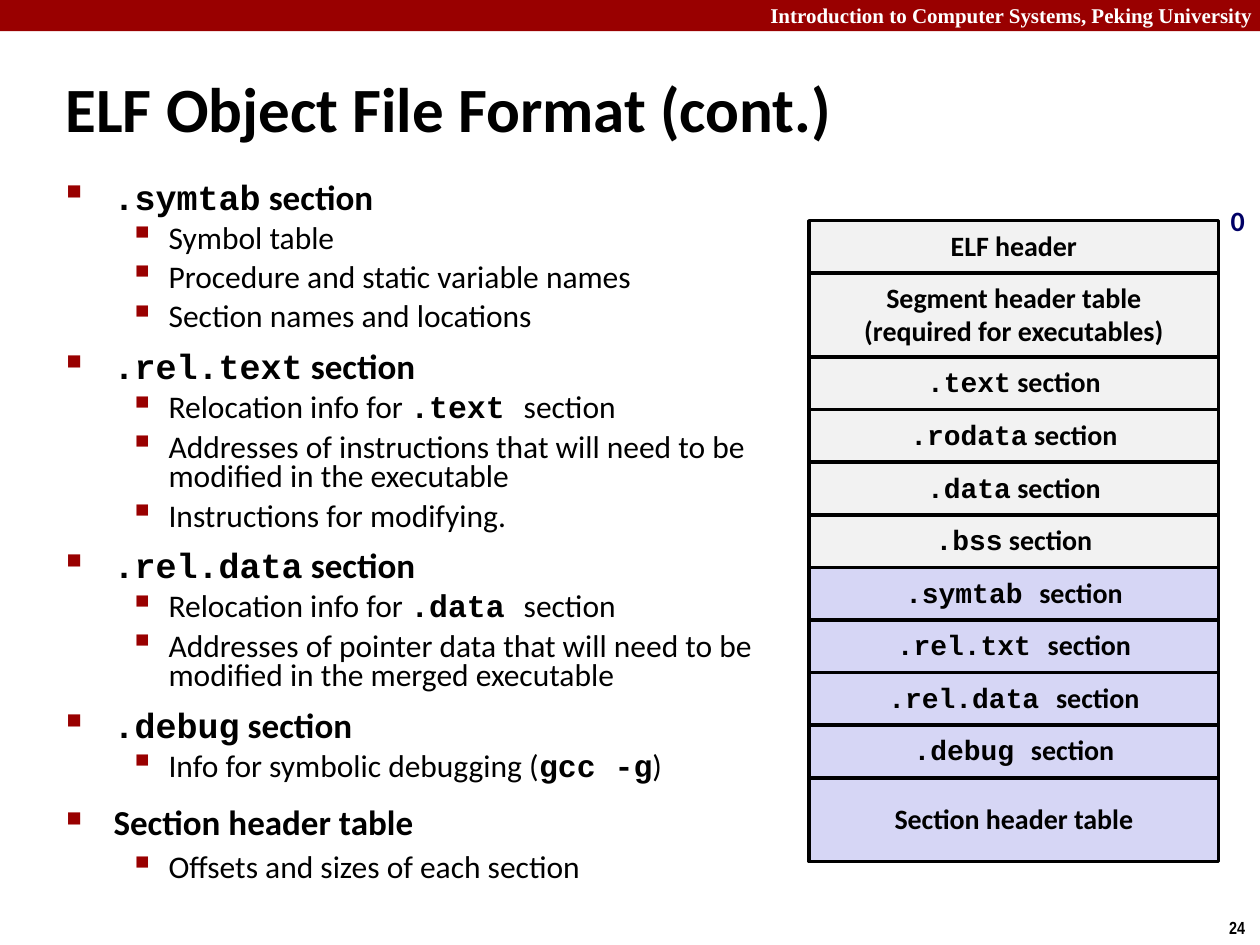
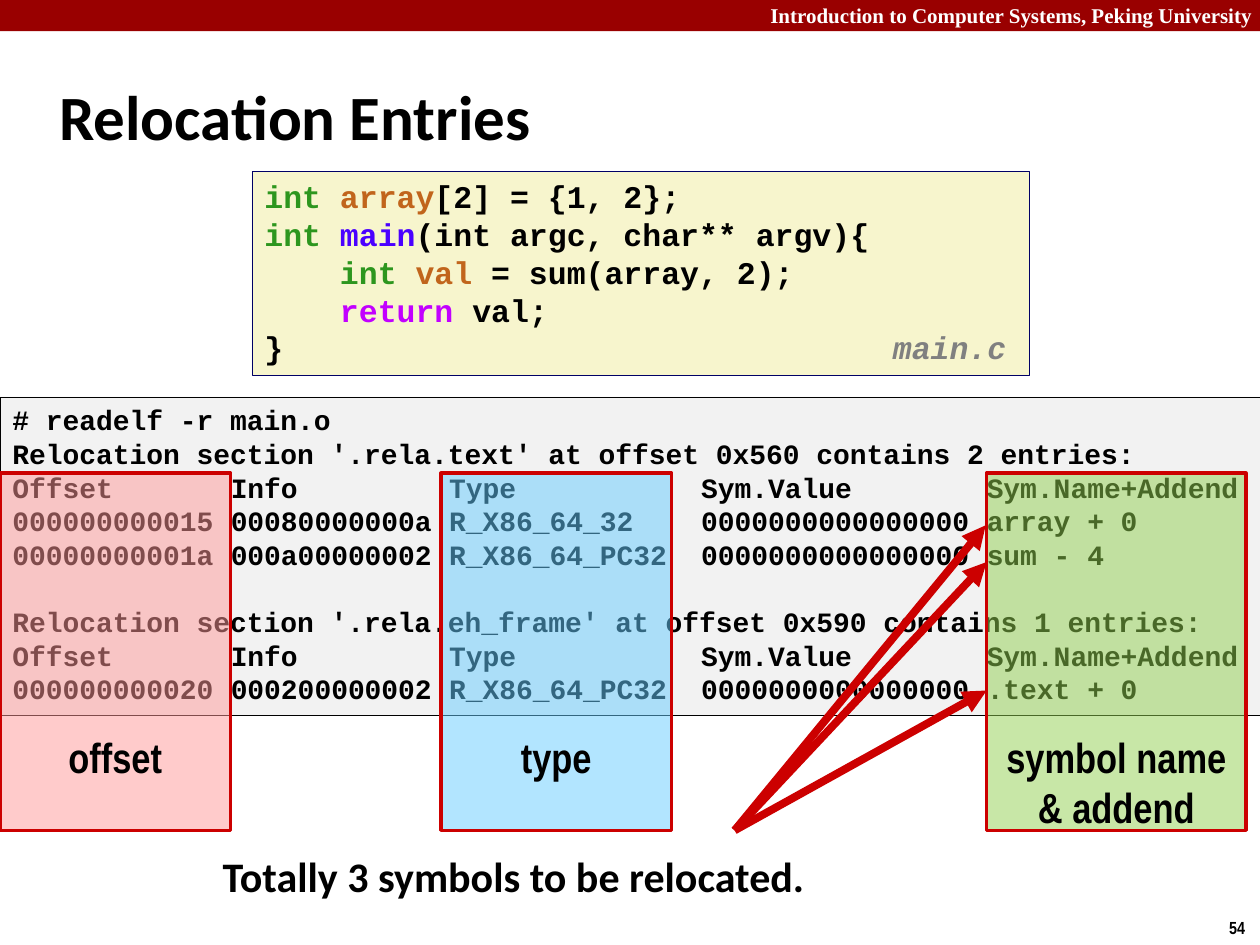
"""Build two slides on ELF object files and relocation entries."""
from lxml import etree
from pptx import Presentation
from pptx.dml.color import RGBColor
from pptx.enum.shapes import MSO_CONNECTOR, MSO_SHAPE
from pptx.enum.text import MSO_ANCHOR, MSO_AUTO_SIZE, PP_ALIGN
from pptx.oxml.ns import qn
from pptx.util import Cm, Pt

RECTANGLE = MSO_SHAPE.RECTANGLE
STRAIGHT = MSO_CONNECTOR.STRAIGHT
TOP, MIDDLE = MSO_ANCHOR.TOP, MSO_ANCHOR.MIDDLE
NO_AUTOFIT = MSO_AUTO_SIZE.NONE
LEFT, CENTER, RIGHT = PP_ALIGN.LEFT, PP_ALIGN.CENTER, PP_ALIGN.RIGHT

BLACK = RGBColor(0x00, 0x00, 0x00)
WHITE = RGBColor(0xFF, 0xFF, 0xFF)
DARK_RED = RGBColor(0x99, 0x00, 0x00)
RED = RGBColor(0xCC, 0x00, 0x00)
NAVY = RGBColor(0x00, 0x00, 0x66)
GRAY = RGBColor(0x80, 0x80, 0x80)
PALE_GRAY = RGBColor(0xF2, 0xF2, 0xF2)
LILAC = RGBColor(0xD6, 0xD6, 0xF5)
CREAM = RGBColor(0xF7, 0xF5, 0xCD)
PINK = RGBColor(0xFF, 0x99, 0x99)
SKY = RGBColor(0x66, 0xCC, 0xFF)
GREEN = RGBColor(0x92, 0xD0, 0x50)
TYPE_GREEN = RGBColor(0x2D, 0x96, 0x1E)
NAME_ORANGE = RGBColor(0xC1, 0x65, 0x1C)
FUNCTION_BLUE = RGBColor(0x4A, 0x00, 0xFF)
KEYWORD_PURPLE = RGBColor(0xC2, 0x00, 0xFF)

SANS, MONO, SERIF, NARROW = "Calibri", "Courier New", "Times New Roman", "Arial Narrow"

COURSE = "Introduction to Computer Systems, Peking University"

SECTION_NOTES = [
    ("`.symtab` section", ["Symbol table", "Procedure and static variable names",
                           "Section names and locations"]),
    ("`.rel.text` section", [
        "Relocation info for `.text `section",
        "Addresses of instructions that will need to be modified in the executable",
        "Instructions for modifying."]),
    ("`.rel.data` section", [
        "Relocation info for `.data `section",
        "Addresses of pointer data that will need to be modified in the merged executable"]),
    ("`.debug` section", ["Info for symbolic debugging (`gcc -g`)"]),
    ("Section header table", ["Offsets and sizes of each section"]),
]
NOTE_LEVELS = [
    {"font": {"size": Pt(20), "bold": True}, "space": Pt(12.5), "tight": 0.71,
     "margin": Cm(0.95), "hang": Cm(0.95), "bullet": "■", "percent": 60},
    {"font": {"size": Pt(18), "bold": False}, "space": Pt(5.6), "tight": 0.78,
     "margin": Cm(2.06), "hang": Cm(0.79), "bullet": "▪", "percent": 110},
]
LOOSE_SPACING = 0.88

ROW_HEIGHT, TALL_ROW_HEIGHT = Cm(1.06), Cm(1.69)
FILE_LAYOUT = [
    (["ELF header"], ROW_HEIGHT, PALE_GRAY),
    (["Segment header table", "(required for executables)"], TALL_ROW_HEIGHT, PALE_GRAY),
    (["`.text` section"], ROW_HEIGHT, PALE_GRAY),
    (["`.rodata` section"], ROW_HEIGHT, PALE_GRAY),
    (["`.data` section"], ROW_HEIGHT, PALE_GRAY),
    (["`.bss` section"], ROW_HEIGHT, PALE_GRAY),
    (["`.symtab `section"], ROW_HEIGHT, LILAC),
    (["`.rel.txt `section"], ROW_HEIGHT, LILAC),
    (["`.rel.data `section"], ROW_HEIGHT, LILAC),
    (["`.debug `section"], ROW_HEIGHT, LILAC),
    (["Section header table"], TALL_ROW_HEIGHT, LILAC),
]

SOURCE_CODE = [
    [("int ", TYPE_GREEN), ("array", NAME_ORANGE), ("[2] = {1, 2};", BLACK)],
    [("int ", TYPE_GREEN), ("main", FUNCTION_BLUE), ("(int argc, char** argv){", BLACK)],
    [("    int ", TYPE_GREEN), ("val", NAME_ORANGE), (" = sum(array, 2);", BLACK)],
    [("    return", KEYWORD_PURPLE), (" val;", BLACK)],
    [("}", BLACK)],
]
ENTRY_HEADER = ("Offset", "Info", "Type", "Sym.Value", "Sym.Name+Addend")
RELOCATION_GROUPS = [
    [("# readelf -r main.o",),
     ("Relocation section '.rela.text' at offset 0x560 contains 2 entries:",),
     ENTRY_HEADER,
     ("000000000015", "00080000000a", "R_X86_64_32", "0000000000000000", "array + 0"),
     ("00000000001a", "000a00000002", "R_X86_64_PC32", "0000000000000000", "sum - 4")],
    [("Relocation section '.rela.eh_frame' at offset 0x590 contains 1 entries:",),
     ENTRY_HEADER,
     ("000000000020", "000200000002", "R_X86_64_PC32", "0000000000000000", ".text + 0")],
]
COLUMN_STARTS = (13, 26, 41, 58)
COLUMN_LABELS = [
    (["type"], Cm(8.89), Cm(4.65), SKY),
    (["offset"], Cm(0), Cm(4.65), PINK),
    (["symbol name", "& addend"], Cm(19.89), Cm(5.23), GREEN),
]
ARROW_START = (Cm(14.81), Cm(16.74))
ARROW_TIPS = [(Cm(19.87), Cm(10.59)), (Cm(19.89), Cm(11.33)), (Cm(19.89), Cm(13.92))]


def apply(target, values):
    for name, value in values.items():
        if name == "color":
            target.color.rgb = value
        else:
            setattr(target, name, value)


def font_values(name, size, color=BLACK, **extra):
    return {"name": name, "size": Pt(size), "bold": True, "color": color, **extra}


def mixed_spans(text, font):
    """Split text at backticks; every second part is bold code."""
    code_font = {**font, "name": MONO, "bold": True}
    return [(part, code_font if index % 2 else font)
            for index, part in enumerate(text.split("`")) if part]


def write(frame, lines, **para_values):
    """Write each list of (text, font) spans as one paragraph."""
    for index, spans in enumerate(lines):
        para = frame.paragraphs[0] if index == 0 else frame.add_paragraph()
        apply(para, para_values)
        for text, font in spans:
            span = para.add_run()
            span.text = text
            apply(span.font, font)


def add_box(page, place, fill, line=None, width=2):
    box = page.shapes.add_shape(RECTANGLE, *place)
    box.shadow.inherit = False
    box.fill.solid()
    box.fill.fore_color.rgb = fill
    if line is None:
        box.line.fill.background()
    else:
        box.line.color.rgb = line
        box.line.width = Pt(width)
    apply(box.text_frame, {"word_wrap": True, "vertical_anchor": TOP})
    return box


def add_text(page, place, text, font, wrap=True, **para_values):
    box = page.shapes.add_textbox(*place)
    box.text_frame.word_wrap = wrap
    write(box.text_frame, [[(text, font)]], **para_values)


def add_page(deck, title, number, left, top):
    page = deck.slides.add_slide(deck.slide_layouts[5])
    heading = page.shapes.title
    apply(heading, {"left": left, "top": top, "width": Cm(24.2), "height": Cm(2.18)})
    apply(heading.text_frame, {"word_wrap": True, "vertical_anchor": MIDDLE,
                               "auto_size": NO_AUTOFIT})
    write(heading.text_frame, [[(title, font_values(SANS, 36))]], alignment=LEFT)
    add_box(page, (0, 0, deck.slide_width, Cm(0.63)), DARK_RED)
    add_text(page, (Cm(14.2), Cm(-0.08), Cm(11.3), Cm(0.76)), COURSE,
             font_values(SERIF, 12, WHITE), alignment=RIGHT)
    add_text(page, (Cm(24.53), Cm(18.36), Cm(0.87), Cm(0.68)), number,
             font_values(NARROW, 10), wrap=False)
    return page


def add_bullet(para, level):
    props = para._p.get_or_add_pPr()
    props.set("marL", str(level["margin"]))
    props.set("indent", str(-level["hang"]))
    color = etree.SubElement(props, qn("a:buClr"))
    etree.SubElement(color, qn("a:srgbClr"), val=str(DARK_RED))
    etree.SubElement(props, qn("a:buSzPct"), val=str(level["percent"] * 1000))
    etree.SubElement(props, qn("a:buChar"), char=level["bullet"])


def add_notes(page):
    box = page.shapes.add_textbox(Cm(1.09), Cm(3.63), Cm(14.66), Cm(15.19))
    frame = box.text_frame
    frame.word_wrap = True
    notes = [(text, level, heading == SECTION_NOTES[-1][0])
             for heading, points in SECTION_NOTES
             for text, level in [(heading, 0)] + [(point, 1) for point in points]]
    write(frame, [mixed_spans(text, {"name": SANS, "color": BLACK, **NOTE_LEVELS[depth]["font"]})
                  for text, depth, _ in notes])
    for index, (para, (_, depth, loose)) in enumerate(zip(frame.paragraphs, notes)):
        level = NOTE_LEVELS[depth]
        add_bullet(para, level)
        apply(para, {"level": depth, "space_before": level["space"] if index else Pt(0),
                     "line_spacing": LOOSE_SPACING if loose else level["tight"]})


def add_file_layout(page):
    font = font_values(SANS, 16)
    top = Cm(4.45)
    for lines, height, fill in FILE_LAYOUT:
        row = add_box(page, (Cm(16.31), top, Cm(8.26), height), fill, BLACK)
        row.text_frame.vertical_anchor = MIDDLE
        write(row.text_frame, [mixed_spans(line, font) for line in lines], alignment=CENTER,
              line_spacing=0.94 if "`" in lines[0] else 0.98)
        top += height
    add_text(page, (Cm(24.56), Cm(4.01), Cm(0.79), Cm(0.94)), "0",
             font_values(SANS, 16, NAVY), wrap=False, line_spacing=0.98)


def add_readelf_output(page, width):
    box = add_box(page, (0, Cm(8), width, Cm(6.43)), PALE_GRAY, BLACK, 0.25)
    font, line_height = font_values(MONO, 16), Pt(19.2)
    rows = [row for group in RELOCATION_GROUPS for row in group]
    write(box.text_frame, [[("\t".join(row), font)] for row in rows],
          alignment=LEFT, line_spacing=line_height)
    paras = box.text_frame.paragraphs
    paras[len(RELOCATION_GROUPS[0])].space_before = line_height
    for para, row in zip(paras, rows):
        if len(row) > 1:
            tabs = etree.SubElement(para._p.get_or_add_pPr(), qn("a:tabLst"))
            for start in COLUMN_STARTS:
                etree.SubElement(tabs, qn("a:tab"), pos=str(Pt(9.6 * start)), algn="l")


def add_source_code(page):
    box = add_box(page, (Cm(5.08), Cm(3.45), Cm(15.67), Cm(4.11)), CREAM, NAVY, 0.25)
    write(box.text_frame, [[(text, font_values(MONO, 18, color)) for text, color in line]
                           for line in SOURCE_CODE], alignment=LEFT, line_spacing=Pt(21.6))
    add_text(page, (Cm(17.75), Cm(6.55), Cm(2.97), Cm(0.99)), "main.c",
             font_values(MONO, 18, GRAY, italic=True), wrap=False, line_spacing=0.94)


def add_column_labels(page):
    for lines, left, width, fill in COLUMN_LABELS:
        box = add_box(page, (left, Cm(9.54), width, Cm(7.2)), fill, RED)
        tint = box.element.find(".//" + qn("a:srgbClr"))
        etree.SubElement(tint, qn("a:alpha"), val="50000")
        apply(box.text_frame, {"margin_top": Cm(5.2), "margin_bottom": 0})
        write(box.text_frame, [[(line, font_values(NARROW, 24))] for line in lines],
              alignment=CENTER)


def add_arrows(page):
    for tip in ARROW_TIPS:
        arrow = page.shapes.add_connector(STRAIGHT, *ARROW_START, *tip)
        arrow.line.color.rgb = RED
        arrow.line.width = Pt(4.5)
        outline = arrow.element.find(".//" + qn("a:ln"))
        etree.SubElement(outline, qn("a:tailEnd"), type="triangle")
        etree.SubElement(arrow.element.spPr, qn("a:effectLst"))


def main():
    deck = Presentation()
    deck.slide_width, deck.slide_height = Cm(25.4), Cm(19.05)

    page = add_page(deck, "ELF Object File Format (cont.)", "24", Cm(1.07), Cm(1.07))
    add_notes(page)
    add_file_layout(page)

    page = add_page(deck, "Relocation Entries", "54", Cm(0.94), Cm(1.24))
    add_readelf_output(page, deck.slide_width)
    add_source_code(page)
    add_column_labels(page)
    add_arrows(page)
    add_text(page, (Cm(4.24), Cm(17.02), Cm(19.89), Cm(1.27)),
             "Totally 3 symbols to be relocated.", font_values(SANS, 24))

    deck.save("out.pptx")


if __name__ == "__main__":
    main()
